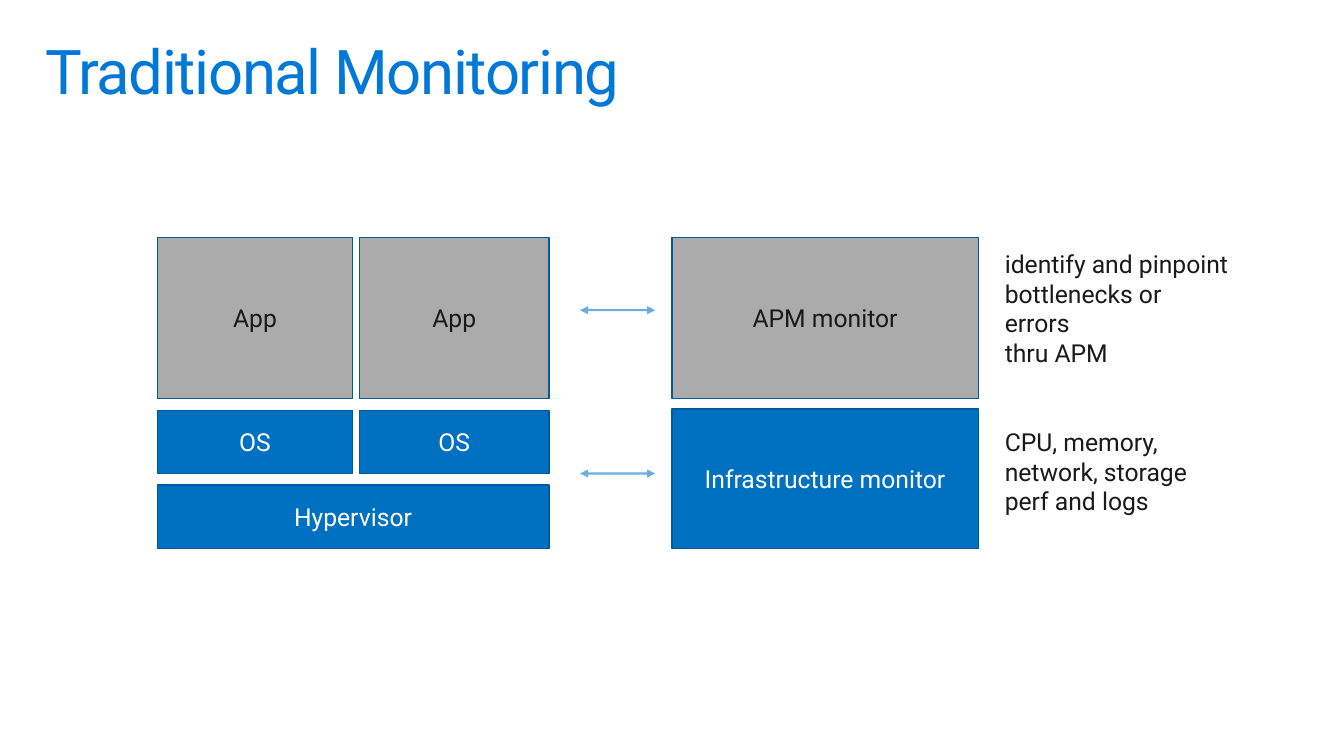
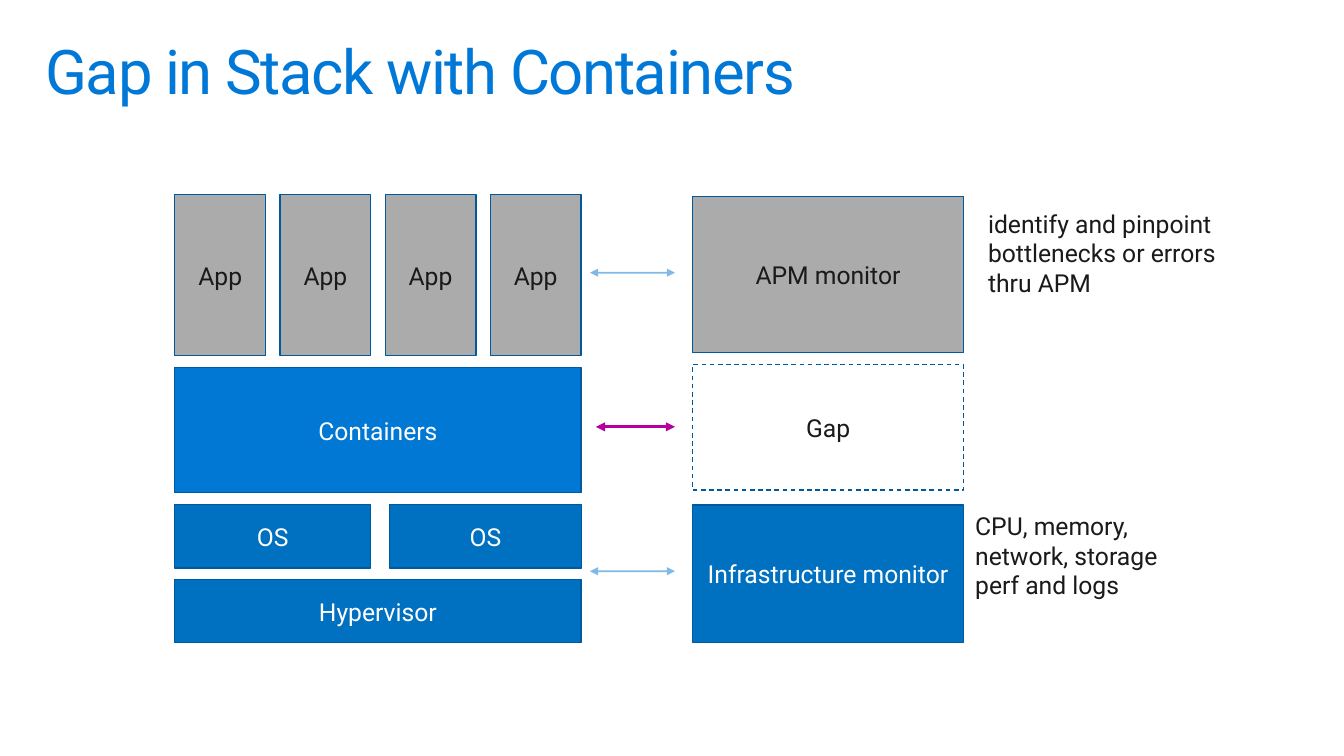
from lxml.etree import SubElement
from pptx import Presentation
from pptx.dml.color import RGBColor
from pptx.enum.dml import MSO_LINE
from pptx.enum.shapes import MSO_CONNECTOR, MSO_SHAPE
from pptx.enum.text import MSO_ANCHOR, MSO_AUTO_SIZE, PP_ALIGN
from pptx.oxml.ns import qn
from pptx.util import Pt

TITLE_BLUE = RGBColor(0x00, 0x78, 0xD7)
CONTAINER_BLUE = RGBColor(0x00, 0x78, 0xD4)
ARROW_BLUE = RGBColor(0x00, 0x75, 0xD2)
SYSTEM_BLUE = RGBColor(0x00, 0x70, 0xC0)
OUTLINE_BLUE = RGBColor(0x00, 0x59, 0x9D)
APP_GRAY = RGBColor(0xAB, 0xAB, 0xAB)
GAP_MAGENTA = RGBColor(0xB4, 0x00, 0x9E)
INK = RGBColor(0x1A, 0x1A, 0x1A)
WHITE = RGBColor(0xFF, 0xFF, 0xFF)

FONT = "Roboto"
TITLE_BOX = {"left": Pt(21.6), "top": Pt(23), "width": Pt(936), "height": Pt(72)}
TITLE_FRAME = {
    "margin_left": Pt(11.5), "margin_right": Pt(11.5),
    "margin_top": Pt(7.2), "margin_bottom": Pt(7.2),
    "vertical_anchor": MSO_ANCHOR.TOP, "word_wrap": True,
    "auto_size": MSO_AUTO_SIZE.NONE,
}
TITLE_FONT = {"name": FONT, "size": Pt(44.9)}
BODY_FONT = {"name": FONT, "size": Pt(18)}
BLOCK_FRAME = {"vertical_anchor": MSO_ANCHOR.MIDDLE, "word_wrap": True}
NOTE_FRAME = {"word_wrap": True, "auto_size": MSO_AUTO_SIZE.SHAPE_TO_FIT_TEXT}

APP = {"fill": APP_GRAY, "ink": INK, "dash": None}
SYSTEM = {"fill": SYSTEM_BLUE, "ink": WHITE, "dash": None}
CONTAINER = {"fill": CONTAINER_BLUE, "ink": WHITE, "dash": None}
MISSING = {"fill": WHITE, "ink": INK, "dash": MSO_LINE.DASH}

ROW_GAP = 8.6
APP_HEIGHT = 117.4
SYSTEM_HEIGHT = 46
MIDDLE_HEIGHT = 91.4

TRADITIONAL = {
    "title": "Traditional Monitoring",
    "stacks": [
        (114.5, 172.8, 285.5, [
            ("App", APP, 0, APP_HEIGHT, [142.6, 138]),
            ("OS", SYSTEM, ROW_GAP, SYSTEM_HEIGHT, [142.6, 138]),
            ("Hypervisor", SYSTEM, ROW_GAP, SYSTEM_HEIGHT, [285.5]),
        ]),
        (489.6, 172.8, 223.2, [
            ("APM monitor", APP, 0, APP_HEIGHT, [223.2]),
            ("Infrastructure monitor", SYSTEM, 7.8, 101.5, [223.2]),
        ]),
    ],
    "arrows": [
        (422.6, 226, 54.8, CONTAINER_BLUE, 1.5, 60),
        (422.6, 345, 54.8, CONTAINER_BLUE, 1.5, 60),
    ],
    "notes": [
        (725, 307.4, 175, 74.2, ["CPU, memory,", "network, storage", "perf and logs"]),
        (725, 177.8, 180, 116.6,
         ["identify and pinpoint bottlenecks or errors", "thru APM"]),
    ],
}

CONTAINERS = {
    "title": "Gap in Stack with Containers",
    "stacks": [
        (127.4, 141.8, 296, [
            ("App", APP, 0, APP_HEIGHT, [66.2] * 4),
            ("Containers", CONTAINER, ROW_GAP, MIDDLE_HEIGHT, [296]),
            ("OS", SYSTEM, ROW_GAP, SYSTEM_HEIGHT, [142.6, 139.6]),
            ("Hypervisor", SYSTEM, ROW_GAP, SYSTEM_HEIGHT, [296]),
        ]),
        (504.7, 143.3, 197.3, [
            ("APM monitor", APP, 0, 113.8, [197.3]),
            ("Gap", MISSING, ROW_GAP, MIDDLE_HEIGHT, [197.3]),
            ("Infrastructure monitor", SYSTEM, 10.9, 100, [197.3]),
        ]),
    ],
    "arrows": [
        (429.8, 198.7, 62, ARROW_BLUE, 1.35, 50),
        (429.8, 416.2, 62, ARROW_BLUE, 1.35, 50),
        (434.2, 311, 57.6, GAP_MAGENTA, 2.25, 100),
    ],
    "notes": [
        (703.4, 368.6, 190, 74.2, ["CPU, memory, network, storage", "perf and logs"]),
        (712.8, 148.3, 183, 94.3,
         ["identify and pinpoint bottlenecks or errors", "thru APM"]),
    ],
}


def apply_format(target, values):
    """Set each named attribute of the target."""
    for name, value in values.items():
        setattr(target, name, value)


def format_font(font, values, color):
    """Apply a font format and its colour."""
    apply_format(font, values)
    font.color.rgb = color


def add_title(slide, text):
    """Place and format the title placeholder."""
    title = slide.shapes.title
    apply_format(title, TITLE_BOX)
    apply_format(title.text_frame, TITLE_FRAME)
    paragraph = title.text_frame.paragraphs[0]
    apply_format(paragraph, {"alignment": PP_ALIGN.LEFT, "line_spacing": 0.9})
    run = paragraph.add_run()
    run.text = text
    format_font(run.font, TITLE_FONT, TITLE_BLUE)
    run.font._element.set("spc", "-100")


def add_block(slide, left, top, width, height, label, style):
    """Draw one labelled layer block."""
    shape = slide.shapes.add_shape(
        MSO_SHAPE.RECTANGLE, Pt(left), Pt(top), Pt(width), Pt(height))
    shape.shadow.inherit = False
    shape.fill.solid()
    shape.fill.fore_color.rgb = style["fill"]
    shape.line.color.rgb = OUTLINE_BLUE
    apply_format(shape.line, {"width": Pt(0.85), "dash_style": style["dash"]})
    apply_format(shape.text_frame, BLOCK_FRAME)
    paragraph = shape.text_frame.paragraphs[0]
    paragraph.text = label
    paragraph.alignment = PP_ALIGN.CENTER
    format_font(paragraph.font, BODY_FONT, style["ink"])


def add_stack(slide, left, top, width, rows):
    """Stack rows of blocks downwards, each row spread over the width."""
    for label, style, gap_above, height, block_widths in rows:
        top += gap_above
        gap = (width - sum(block_widths)) / max(len(block_widths) - 1, 1)
        block_left = left
        for block_width in block_widths:
            add_block(slide, block_left, top, block_width, height, label, style)
            block_left += block_width + gap
        top += height


def add_arrow(slide, left, top, length, color, weight, opacity):
    """Draw a horizontal double-headed arrow."""
    connector = slide.shapes.add_connector(
        MSO_CONNECTOR.STRAIGHT, Pt(left), Pt(top), Pt(left + length), Pt(top))
    connector.line.color.rgb = color
    connector.line.width = Pt(weight)
    properties = connector._element.spPr
    line = properties.find(qn("a:ln"))
    if opacity < 100:
        color_element = line.find(qn("a:solidFill"))[0]
        SubElement(color_element, qn("a:alpha"), val=str(opacity * 1000))
    for end in ("a:headEnd", "a:tailEnd"):
        SubElement(line, qn(end), type="triangle")
    SubElement(properties, qn("a:effectLst"))


def add_note(slide, left, top, width, height, lines):
    """Write a note with one paragraph for each line."""
    box = slide.shapes.add_textbox(Pt(left), Pt(top), Pt(width), Pt(height))
    apply_format(box.text_frame, NOTE_FRAME)
    box.text_frame.text = "\n".join(lines)
    for paragraph in box.text_frame.paragraphs:
        format_font(paragraph.font, BODY_FONT, INK)


def add_monitoring_slide(presentation, content):
    """Build one slide of layers, monitors, arrows and notes."""
    slide = presentation.slides.add_slide(presentation.slide_layouts[5])
    add_title(slide, content["title"])
    for region, add_part in (
            ("stacks", add_stack), ("arrows", add_arrow), ("notes", add_note)):
        for part in content[region]:
            add_part(slide, *part)


def main():
    """Build and save the presentation."""
    presentation = Presentation()
    apply_format(presentation, {"slide_width": Pt(979.2), "slide_height": Pt(550.8)})
    for content in (TRADITIONAL, CONTAINERS):
        add_monitoring_slide(presentation, content)
    presentation.save("out.pptx")


if __name__ == "__main__":
    main()
